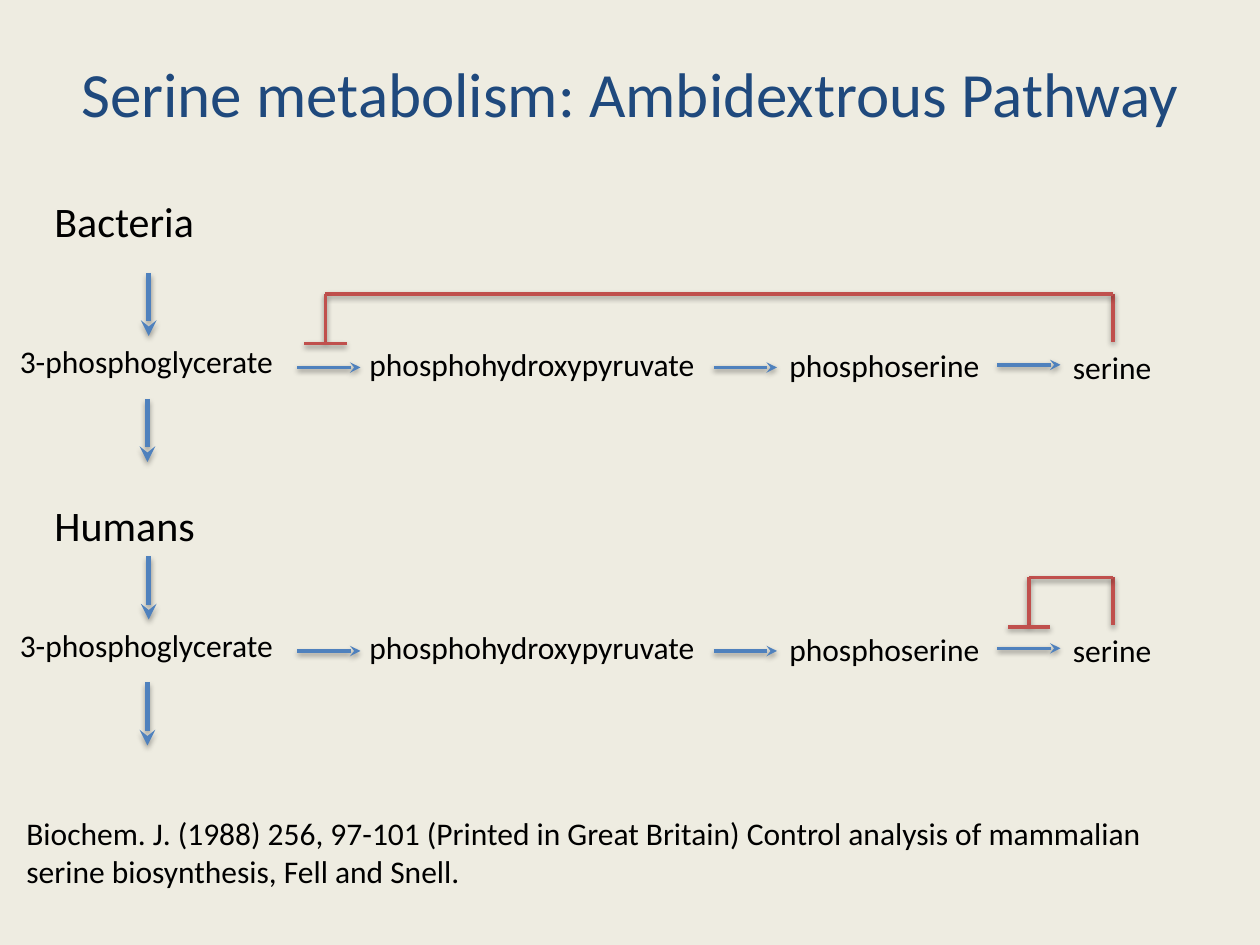
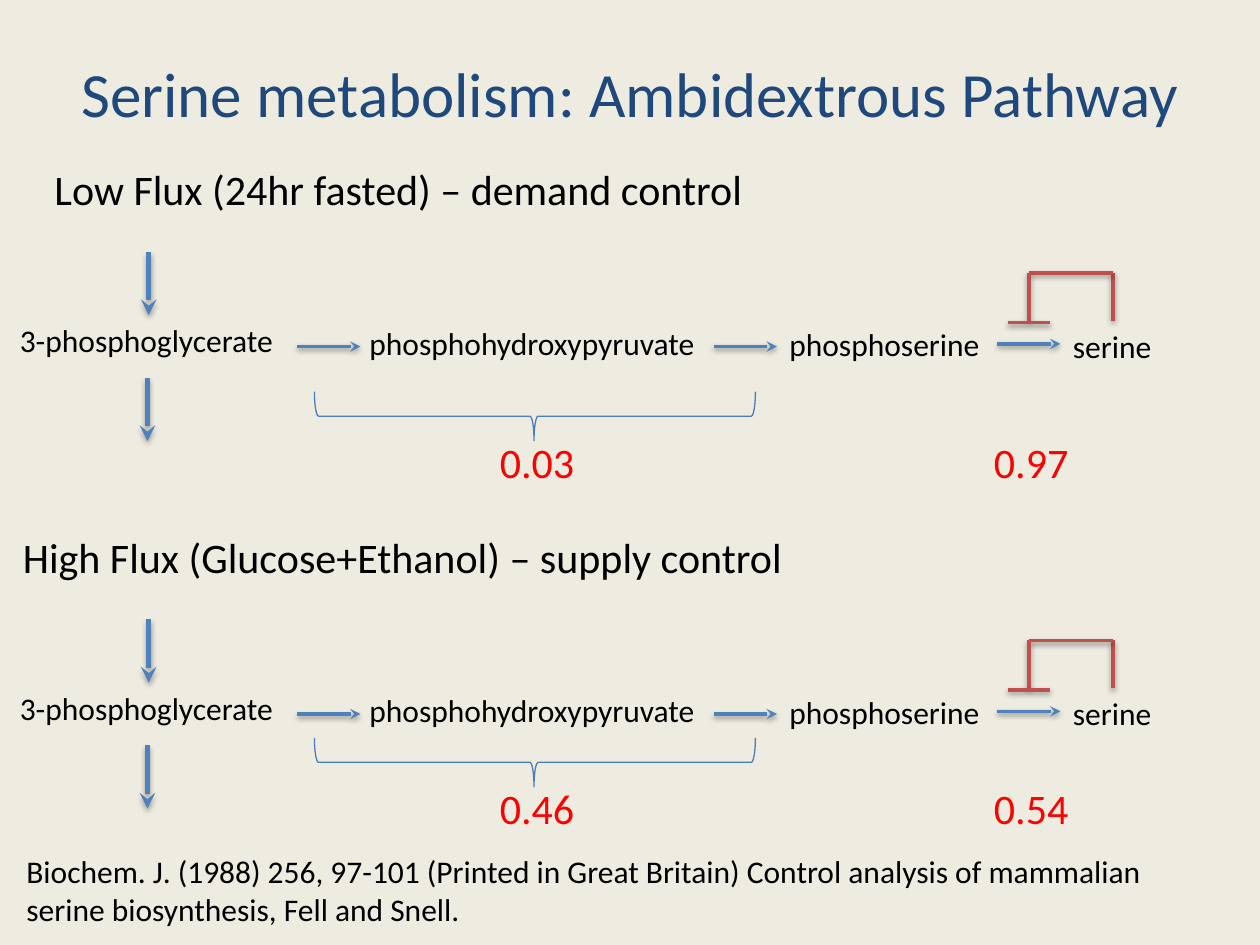
from dataclasses import dataclass

from lxml import etree
from pptx import Presentation
from pptx.dml.color import RGBColor
from pptx.enum.shapes import MSO_CONNECTOR, MSO_SHAPE
from pptx.enum.text import MSO_ANCHOR, MSO_AUTO_SIZE, PP_ALIGN
from pptx.oxml.ns import qn
from pptx.util import Pt


@dataclass(frozen=True)
class Theme:
    font: str = "Calibri"
    background: RGBColor = RGBColor(0xEE, 0xEC, 0xE1)
    title: RGBColor = RGBColor(0x1F, 0x49, 0x7D)
    text: RGBColor = RGBColor(0, 0, 0)
    flux: RGBColor = RGBColor(0x4F, 0x81, 0xBD)
    inhibition: RGBColor = RGBColor(0xC0, 0x50, 0x4D)
    brace: RGBColor = RGBColor(0x4A, 0x7D, 0xBA)
    value: RGBColor = RGBColor(0xFF, 0, 0)
    title_size: int = 36
    heading_size: int = 24
    body_size: int = 18
    thick: float = 3
    thin: float = 2
    hairline: float = 0.75


TITLE = "Serine metabolism: Ambidextrous Pathway"
CITATION = (
    "Biochem. J. (1988) 256, 97-101 (Printed in Great Britain) Control analysis "
    "of mammalian serine biosynthesis, Fell and Snell."
)
FIRST_STEP_X = 186
LAST_STEP_X = 588
ARROW_LENGTH = 36


class Deck:
    def __init__(self, theme):
        self.theme = theme
        self.prs = Presentation()
        self.prs.slide_width, self.prs.slide_height = Pt(720), Pt(540)
        fill = self.prs.slide_master.background.fill
        fill.solid()
        fill.fore_color.rgb = theme.background
        self.slide = None

    def add_slide(self, title):
        self.slide = self.prs.slides.add_slide(self.prs.slide_layouts[5])
        sp = self.slide.shapes.title
        sp.left, sp.top, sp.width, sp.height = Pt(36), Pt(21.6), Pt(648), Pt(62.6)
        tf = sp.text_frame
        tf.text = title
        tf.vertical_anchor = MSO_ANCHOR.MIDDLE
        tf.auto_size = MSO_AUTO_SIZE.NONE
        p = tf.paragraphs[0]
        p.alignment = PP_ALIGN.CENTER
        self.style(p, self.theme.title_size, self.theme.title)

    def style(self, p, size, color):
        p.font.name = self.theme.font
        p.font.size = Pt(size)
        p.font.color.rgb = color

    def text(self, text, x, y, w, h=29, size=None, color=None, inset=7.2):
        sp = self.slide.shapes.add_textbox(Pt(x), Pt(y), Pt(w), Pt(h))
        tf = sp.text_frame
        tf.word_wrap = True
        tf.auto_size = MSO_AUTO_SIZE.SHAPE_TO_FIT_TEXT
        tf.margin_left = Pt(inset)
        tf.text = text
        self.style(tf.paragraphs[0], size or self.theme.body_size, color or self.theme.text)
        return sp

    def heading(self, text, x, y, w):
        self.text(text, x, y, w, 36, self.theme.heading_size)

    def value(self, text, x, y):
        self.text(text, x, y, 58, 36, self.theme.heading_size, self.theme.value)

    def citation(self, y):
        self.text(CITATION, 8, y, 694, 51)

    def line(self, x1, y1, x2, y2, color, weight, arrow=False):
        cxn = self.slide.shapes.add_connector(
            MSO_CONNECTOR.STRAIGHT, Pt(x1), Pt(y1), Pt(x2), Pt(y2)
        )
        cxn.line.color.rgb = color
        cxn.line.width = Pt(weight)
        if arrow:
            ln = cxn.line._get_or_add_ln()
            etree.SubElement(ln, qn("a:tailEnd"), type="stealth")
        self.shadow(cxn, weight)
        return cxn

    def shadow(self, cxn, weight):
        thick = weight == self.theme.thick
        effects = etree.SubElement(cxn._element.spPr, qn("a:effectLst"))
        shadow = etree.SubElement(
            effects, qn("a:outerShdw"), blurRad=str(Pt(3.1)),
            dist=str(Pt(1.8 if thick else 1.6)), dir="5400000", rotWithShape="0",
        )
        color = etree.SubElement(shadow, qn("a:srgbClr"), val=str(self.theme.text))
        etree.SubElement(color, qn("a:alpha"), val="35000" if thick else "38000")

    def flux_down(self, x, y):
        return self.line(x, y, x, y + ARROW_LENGTH, self.theme.flux, self.theme.thick, True)

    def flux_right(self, x, y):
        return self.line(x, y, x + ARROW_LENGTH, y, self.theme.flux, self.theme.thin, True)

    def feedback(self, serine, x, y):
        bar_y, top = y + 4.3, y - 24
        points = [(636, y + 3.25), (636, top), (x, top), (x, y + 3.25)]
        segments = [(*a, *b) for a, b in zip(points, points[1:])]
        segments.append((x - 12, bar_y, x + 12, bar_y))
        lines = [self.line(*s, self.theme.inhibition, self.theme.thin) for s in segments]
        lines[0].begin_connect(serine, 0)

    def pathway(self, y, inhibited_x):
        glycerate = self.text("3-phosphoglycerate", 0, y, 170, inset=11.3)
        self.text("phosphohydroxypyruvate", 204, y + 1.5, 202.3)
        self.text("phosphoserine", 444, y + 2.25, 125)
        serine = self.text("serine", 606, y + 3.25, 60)
        self.flux_down(85, y - ARROW_LENGTH).end_connect(glycerate, 0)
        self.flux_down(84.25, y + 36)
        for x, dy in ((170, 18), (408, 18), (570, 16.5)):
            self.flux_right(x, y + dy)
        self.feedback(serine, inhibited_x, y)

    def control_values(self, y, supply, demand):
        w, h = 28, 252
        sp = self.slide.shapes.add_shape(
            MSO_SHAPE.LEFT_BRACE, Pt(305.7 - w / 2), Pt(y - h / 2), Pt(w), Pt(h)
        )
        sp.rotation = 270
        sp.adjustments[0], sp.adjustments[1] = 0.083, 0.498
        sp.shadow.inherit = False
        sp.fill.background()
        sp.line.color.rgb = self.theme.brace
        sp.line.width = Pt(self.theme.hairline)
        self.value(supply, 278.6, y + 8.2)
        self.value(demand, 560.9, y + 8.2)


def main():
    deck = Deck(Theme())

    deck.add_slide(TITLE)
    deck.heading("Bacteria", 24, 108, 95.3)
    deck.pathway(192, FIRST_STEP_X)
    deck.heading("Humans", 24, 282, 96)
    deck.pathway(354, LAST_STEP_X)
    deck.citation(461.5)

    deck.add_slide(TITLE)
    deck.heading("Low Flux (24hr fasted) – demand control", 24, 90, 411.5)
    deck.pathway(180, LAST_STEP_X)
    deck.control_values(237.8, "0.03", "0.97")
    deck.heading("High Flux (Glucose+Ethanol) – supply control", 6, 300, 452.5)
    deck.pathway(390, LAST_STEP_X)
    deck.control_values(435.6, "0.46", "0.54")
    deck.citation(483.5)

    deck.prs.save("out.pptx")


if __name__ == "__main__":
    main()
